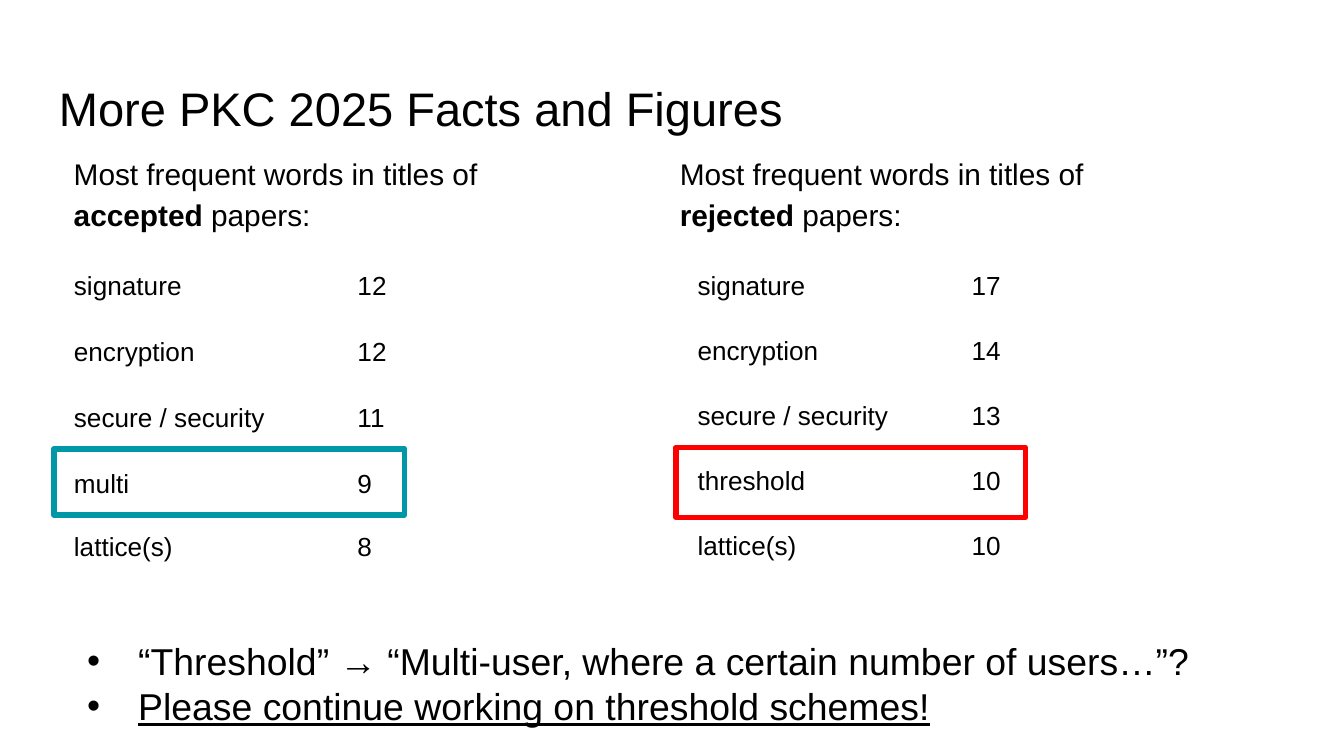
from lxml import etree
from pptx import Presentation
from pptx.dml.color import RGBColor
from pptx.enum.shapes import MSO_SHAPE as SHAPE
from pptx.oxml.ns import qn
from pptx.util import Inches, Pt


def color(value):
    return RGBColor.from_string(value)


class SlideBuilder:
    font = "Arial"
    ink = "000000"
    inset = Inches(0.1)

    def __init__(self, slide):
        self.slide = slide

    def add_run(self, p, text, size, bold=False, underline=False):
        r = p.add_run()
        r.text = text
        r.font.name = self.font
        r.font.size = Pt(size)
        r.font.bold = bold
        r.font.underline = underline
        r.font.color.rgb = color(self.ink)

    def text_box(self, box, wrap=True):
        tf = self.slide.shapes.add_textbox(*map(Inches, box)).text_frame
        tf.word_wrap = wrap
        return tf

    def paragraph(self, box, runs, size, spacing=1.0, after=0):
        tf = self.text_box(box)
        tf.margin_left = tf.margin_right = self.inset
        tf.margin_top = tf.margin_bottom = self.inset
        p = tf.paragraphs[0]
        p.line_spacing = spacing
        p.space_after = Pt(after)
        for text, bold in runs:
            self.add_run(p, text, size, bold)

    def bullets(self, box, items, size, indent):
        tf = self.text_box(box, wrap=False)
        for i, (text, underline) in enumerate(items):
            p = tf.add_paragraph() if i else tf.paragraphs[0]
            self.add_run(p, text, size, underline=underline)
            pPr = p._p.get_or_add_pPr()
            pPr.set("marL", str(Inches(indent)))
            pPr.set("indent", str(-Inches(indent)))
            clr = etree.SubElement(pPr, qn("a:buClr"))
            etree.SubElement(clr, qn("a:srgbClr"), val=self.ink)
            etree.SubElement(pPr, qn("a:buFont"), typeface=self.font)
            etree.SubElement(pPr, qn("a:buChar"), char="•")

    def table(self, left, top, widths, heights, rows, size):
        box = (left, top, sum(widths), sum(heights))
        frame = self.slide.shapes.add_table(
            len(rows), len(widths), *map(Inches, box))
        table = frame.table
        table.first_row = table.horz_banding = False
        for column, width in zip(table.columns, widths):
            column.width = Inches(width)
        for row, height, values in zip(table.rows, heights, rows):
            row.height = Inches(height)
            for cell, value in zip(row.cells, values):
                cell.fill.background()
                cell.margin_left = cell.margin_right = self.inset
                cell.margin_top = cell.margin_bottom = self.inset
                p = cell.text_frame.paragraphs[0]
                p.line_spacing = 1.15
                self.add_run(p, str(value), size)

    def outline(self, box, line):
        sp = self.slide.shapes.add_shape(SHAPE.RECTANGLE, *map(Inches, box))
        sp.shadow.inherit = False
        sp.fill.background()
        sp.line.color.rgb = color(line)
        sp.line.width = Pt(3)


def main():
    prs = Presentation()
    prs.slide_width = Inches(10)
    prs.slide_height = Inches(10 * 9 / 16)
    s = SlideBuilder(prs.slides.add_slide(prs.slide_layouts[6]))

    s.paragraph((0.34, 0.49, 9.32, 0.63),
                [("More PKC 2025 Facts and Figures", False)], 25.2)

    accepted = [("signature", 12), ("encryption", 12),
                ("secure / security", 11), ("multi", 9), ("lattice(s)", 8)]
    rejected = [("signature", 17), ("encryption", 14),
                ("secure / security", 13), ("threshold", 10),
                ("lattice(s)", 10)]
    columns = [
        ("accepted", 0.45, 0.45, 2.11, [0.49] * 3 + [0.41, 0.49], accepted),
        ("rejected", 4.96, 5.09, 2.04, [2.42 / 5] * 5, rejected),
    ]
    for status, left, table_left, word_width, heights, rows in columns:
        s.paragraph((left, 1.02, 3.69, 3.74),
                    [("Most frequent words in titles of ", False),
                     (status, True), (" papers:", False)],
                    16, spacing=1.15, after=12)
        s.table(table_left, 1.89, [word_width, 0.42], heights, rows, 14)

    s.outline((5.03, 3.33, 2.6, 0.52), "FF0000")
    s.outline((0.4, 3.34, 2.61, 0.49), "0097A7")

    s.bullets((0.55, 4.7, 8.47, 0.77), [
        ("“Threshold” → “Multi-user, where a certain number of users…”?",
         False),
        ("Please continue working on threshold schemes!", True),
    ], 20, 0.38)

    prs.save("out.pptx")


if __name__ == "__main__":
    main()
